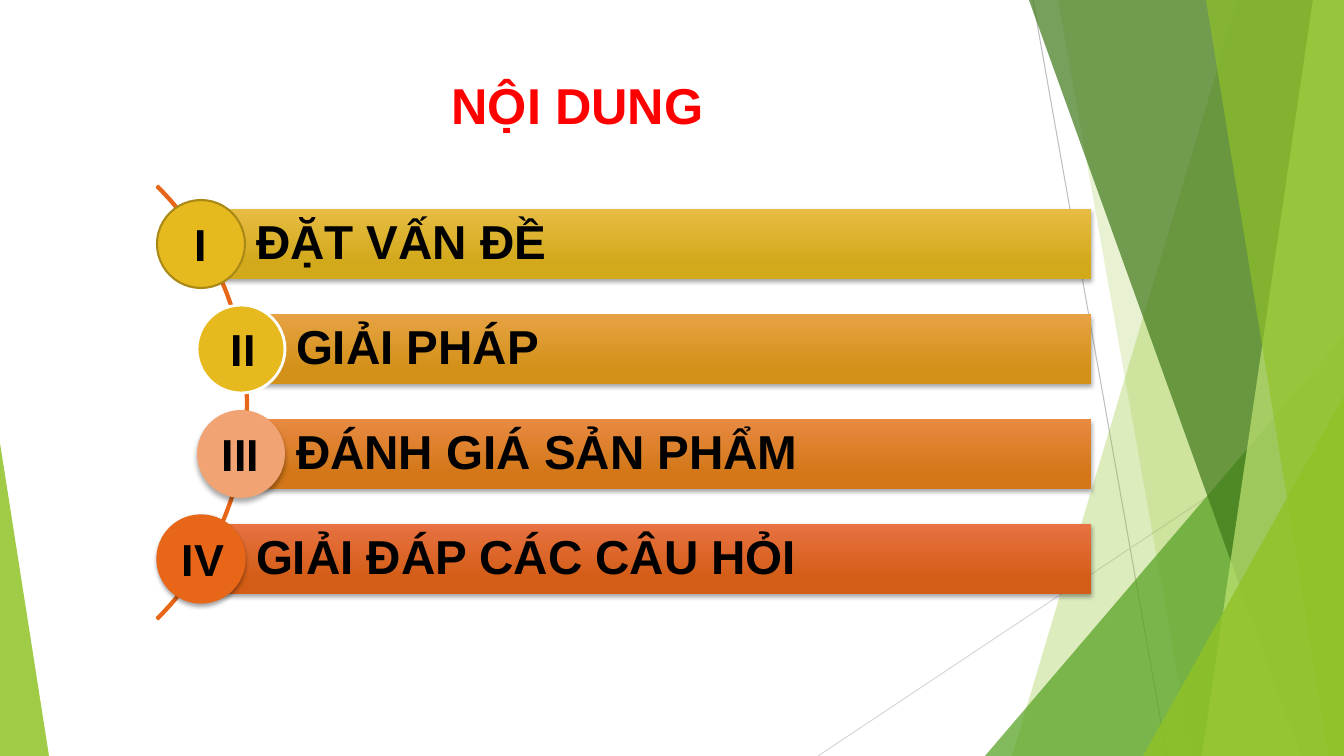
"""Build the agenda slide: four numbered bars along an arc, beside green facets."""
import pptx
import pptx.dml.color
import pptx.enum.shapes
import pptx.enum.text
import pptx.oxml
import pptx.oxml.ns
import pptx.util

THEME = {
    "font": "Arial", "title_size": 36, "bar_size": 34, "numeral_size": 32,
    "title": "FF0000", "text": "000000", "arc": "E76618", "shadow": "000000",
    "lime": "90C226", "pale": "C0E474", "green": "54A021", "forest": "3F7819",
    "thin": "BFBFBF", "thinner": "D9D9D9", "gold": "E6B91E", "gold_edge": "AA8916",
    "white": "FFFFFF", "peach": "F1A374",
    "gradients": [("E7BC43", "D2A91B"), ("E7A343", "D3911A"),
                  ("E88A42", "D37718"), ("E87242", "D35D16")],
}
SLIDE_WIDTH, SLIDE_HEIGHT = 1344, 756
EMU_PER_PX = 914400 / 100.8

TITLE = ("NỘI DUNG", (104, 66, 947, 77))
AGENDA = [
    {"numeral": "I", "topic": "ĐẶT VẤN ĐỀ", "left": 201, "label": (185, 58),
     "fill": "gold", "edge": ("gold_edge", 1.5), "shadow": None},
    {"numeral": "II", "topic": "GIẢI PHÁP", "left": 241, "label": (221, 58),
     "fill": "gold", "edge": ("white", 2), "shadow": None},
    {"numeral": "III", "topic": "ĐÁNH GIÁ SẢN PHẨM", "left": 241, "label": (212, 83),
     "fill": "peach", "edge": None, "shadow": (4, 3)},
    {"numeral": "IV", "topic": "GIẢI ĐÁP CÁC CÂU HỎI", "left": 201, "label": (172, 87),
     "fill": "arc", "edge": ("arc", 1), "shadow": (3, 2)},
]
THIN_LINES = [((1033, 0), (1167, 756), "thin"), ((1344, 406), (818, 756), "thinner")]
FACETS = [
    ("edge", (1238, 1012), "lime", 30),
    ("edge", (1058, 1192), "lime", 20),
    ("triangle", (985, 336, 359, 420, 1), "green", 72),
    ("edge", (1029, 1301), "forest", 70),
    ("edge", (1313, 1202), "pale", 70),
    ("edge", (1206, 1329), "lime", 65),
    ("triangle", (1143, 396, 201, 360, 1), "lime", 80),
    ("triangle", (0, 443, 49, 313, 0), "lime", 85),
]
ARC_BOX, ARC_ADJUSTMENTS = (-365, 96, 613, 613), (189, 27, 0.00355)
BAR_TOP, BAR_STEP, BAR_HEIGHT, BAR_RIGHT = 209, 105, 70, 1091
CIRCLE, NUMERAL_HEIGHT, NUMERAL_DROP = 88, 64, 3
BAR_INDENT, BAR_MARGIN = 55, 9

SHAPES = pptx.enum.shapes.MSO_SHAPE
ANCHOR = pptx.enum.text.MSO_ANCHOR
ALIGN = pptx.enum.text.PP_ALIGN


def px(value):
    return round(value * EMU_PER_PX)


def color(value):
    return pptx.dml.color.RGBColor.from_string(value)


def apply_format(target, values):
    for name, value in values.items():
        setattr(target, name, value)


def add_element(parent, tag, **attributes):
    element = pptx.oxml.parse_xml(f"<a:{tag} {pptx.oxml.ns.nsdecls('a')}/>")
    for name, value in attributes.items():
        element.set(name, str(value))
    parent.append(element)
    return element


def style_shape(shape, fill=None, opacity=100, edge=None, shadow=None):
    shape.shadow.inherit = False
    if fill:
        shape.fill.solid()
        shape.fill.fore_color.rgb = color(THEME[fill])
        if opacity < 100:
            solid = shape.fill.fore_color._xFill
            add_element(solid[0], "alpha", val=opacity * 1000)
    else:
        shape.fill.background()
    if edge:
        shape.line.color.rgb = color(THEME[edge[0]])
        shape.line.width = pptx.util.Pt(edge[1])
    else:
        shape.line.fill.background()
    if shadow:
        effects = shape._element.spPr.find(pptx.oxml.ns.qn("a:effectLst"))
        blur, distance = (pptx.util.Pt(value) for value in shadow)
        outer = add_element(effects, "outerShdw", blurRad=blur, dist=distance,
                            dir=5400000, rotWithShape=0)
        tint = add_element(outer, "srgbClr", val=THEME["shadow"])
        add_element(tint, "alpha", val=35000)


def add_preset(slide, kind, box, **style):
    shape = slide.shapes.add_shape(kind, *map(px, box))
    style_shape(shape, **style)
    return shape


def write_text(shape, text, size, ink, frame_format, paragraph_format):
    apply_format(shape.text_frame, {"word_wrap": True, **frame_format})
    paragraph = shape.text_frame.paragraphs[0]
    apply_format(paragraph, paragraph_format)
    run = paragraph.add_run()
    run.text = text
    apply_format(run.font, {"name": THEME["font"], "size": pptx.util.Pt(size), "bold": True})
    run.font.color.rgb = color(ink)


def add_facets(slide):
    for start, end, ink in THIN_LINES:
        connector = slide.shapes.add_connector(
            pptx.enum.shapes.MSO_CONNECTOR.STRAIGHT, *map(px, start + end))
        connector.line.color.rgb = color(THEME[ink])
        connector.line.width = pptx.util.Pt(0.75)
        add_element(connector._element.spPr, "effectLst")
    for kind, geometry, fill, opacity in FACETS:
        if kind == "triangle":
            *box, apex = geometry
            shape = add_preset(slide, SHAPES.ISOSCELES_TRIANGLE, box, fill=fill, opacity=opacity)
            shape.adjustments[0] = apex
        else:
            top_left, bottom_left = geometry
            builder = slide.shapes.build_freeform(top_left, 0, scale=EMU_PER_PX)
            builder.add_line_segments([(SLIDE_WIDTH, 0), (SLIDE_WIDTH, SLIDE_HEIGHT),
                                       (bottom_left, SLIDE_HEIGHT)], close=True)
            style_shape(builder.convert_to_shape(), fill=fill, opacity=opacity)


def add_bar(slide, item, top, gradient):
    box = (item["left"], top, BAR_RIGHT - item["left"], BAR_HEIGHT)
    bar = add_preset(slide, SHAPES.RECTANGLE, box, shadow=(3, 2))
    bar.fill.gradient()
    bar.fill.gradient_angle = 270
    for stop, position, ink in zip(bar.fill.gradient_stops, (0, 0.78), gradient):
        stop.position = position
        stop.color.rgb = color(ink)
    margins = {f"margin_{side}": px(BAR_MARGIN) for side in ("right", "top", "bottom")}
    write_text(bar, item["topic"], THEME["bar_size"], THEME["text"],
               {"vertical_anchor": ANCHOR.MIDDLE, "margin_left": px(BAR_INDENT), **margins},
               {"alignment": ALIGN.LEFT, "line_spacing": 0.9})


def add_agenda(slide):
    arc = add_preset(slide, SHAPES.BLOCK_ARC, ARC_BOX, edge=("arc", 1.5))
    for index, value in enumerate(ARC_ADJUSTMENTS):
        arc.adjustments[index] = value
    for index, item in enumerate(AGENDA):
        top = BAR_TOP + index * BAR_STEP
        add_bar(slide, item, top, THEME["gradients"][index])
        circle_box = (item["left"] - CIRCLE // 2, top + (BAR_HEIGHT - CIRCLE) // 2, CIRCLE, CIRCLE)
        add_preset(slide, SHAPES.OVAL, circle_box, fill=item["fill"],
                   edge=item["edge"], shadow=item["shadow"])
        left, width = item["label"]
        label_box = (left, top + NUMERAL_DROP, width, NUMERAL_HEIGHT)
        label = slide.shapes.add_textbox(*map(px, label_box))
        write_text(label, item["numeral"], THEME["numeral_size"], THEME["text"],
                   {"auto_size": pptx.enum.text.MSO_AUTO_SIZE.SHAPE_TO_FIT_TEXT}, {})


def main():
    presentation = pptx.Presentation()
    apply_format(presentation, {"slide_width": px(SLIDE_WIDTH), "slide_height": px(SLIDE_HEIGHT)})
    slide = presentation.slides.add_slide(presentation.slide_layouts[6])
    add_facets(slide)
    text, box = TITLE
    title = slide.shapes.add_textbox(*map(px, box))
    write_text(title, text, THEME["title_size"], THEME["title"],
               {"vertical_anchor": ANCHOR.MIDDLE}, {"alignment": ALIGN.CENTER})
    add_agenda(slide)
    presentation.save("out.pptx")


if __name__ == "__main__":
    main()
